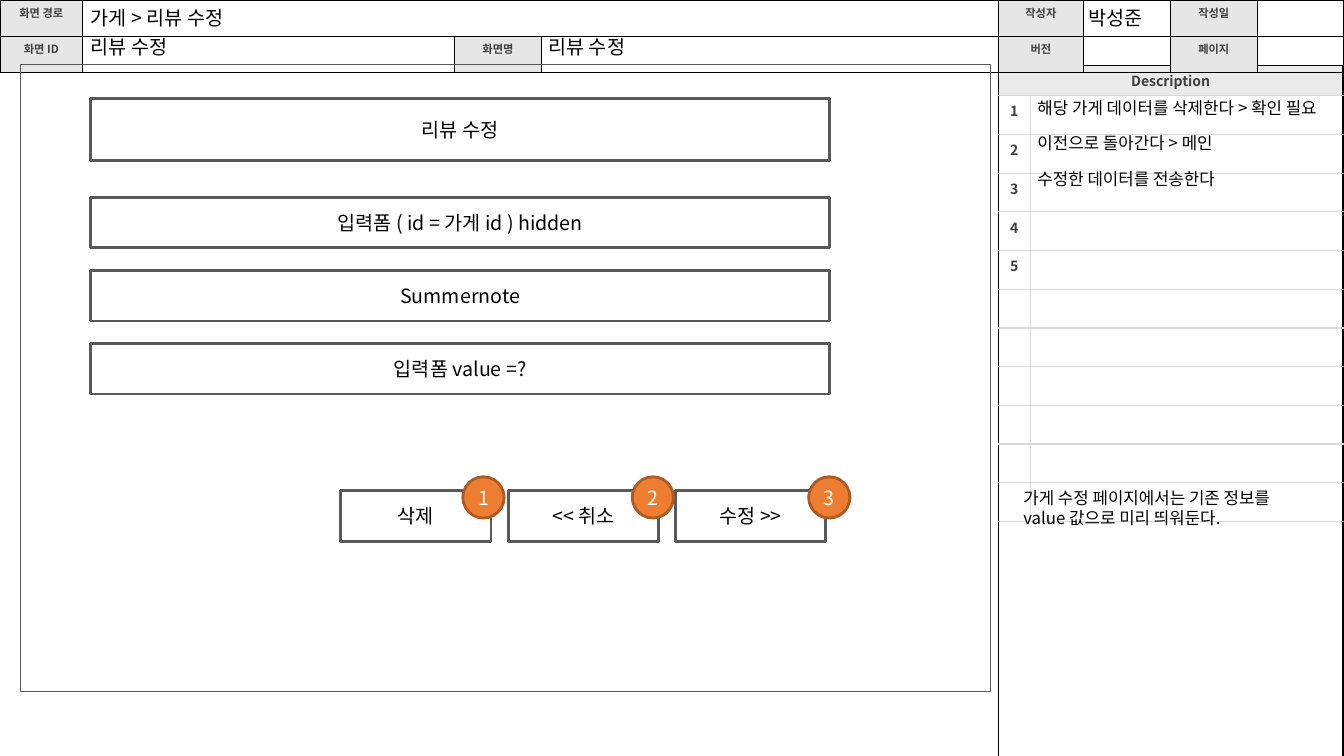
from dataclasses import dataclass

from lxml import etree
from pptx import Presentation
from pptx import util as u
from pptx.dml.color import RGBColor
from pptx.enum import shapes, text
from pptx.oxml.ns import qn


@dataclass(frozen=True)
class Theme:
    font: str = "Noto Sans CJK KR"
    black: str = "000000"
    white: str = "FFFFFF"
    label: str = "3F3F3F"
    outline: str = "595959"
    grid: str = "D8D8D8"
    header_fill: str = "EAEAEA"
    label_fill: str = "E7E6E6"
    badge: str = "ED7D31"
    badge_line: str = "AD5B24"
    label_size: int = 8
    table_size: int = 10
    note_size: int = 12
    body_size: int = 14


theme = Theme()


def write(frame, words, size, color, bold=False, align=text.PP_ALIGN.LEFT, inset=0):
    frame.text = words
    for side in ("left", "top", "right", "bottom"):
        setattr(frame, f"margin_{side}", u.Inches(inset))
    for para in frame.paragraphs:
        para.alignment = align
        para.font.size = u.Pt(size)
        para.font.bold = bold
        para.font.color.rgb = RGBColor.from_string(color)
        para.font.name = theme.font
        run_style = para._p.pPr.find(qn("a:defRPr"))
        etree.SubElement(run_style, qn("a:ea"), typeface=theme.font)


def style_cell(cell, words, size, fill, edges, inset):
    props = cell._tc.get_or_add_tcPr()
    for side, color in zip("LRTB", edges):
        line = etree.SubElement(props, qn(f"a:ln{side}"), w=str(u.Pt(1)))
        solid = etree.SubElement(line, qn("a:solidFill"))
        etree.SubElement(solid, qn("a:srgbClr"), val=color)
    if fill:
        cell.fill.solid()
        cell.fill.fore_color.rgb = RGBColor.from_string(fill)
    else:
        cell.fill.background()
    write(cell.text_frame, words, size, theme.label, True, text.PP_ALIGN.CENTER)
    for side in ("left", "top", "right", "bottom"):
        setattr(cell, f"margin_{side}", u.Inches(inset))


deck = Presentation()
deck.slide_width = u.Inches(13.33)
deck.slide_height = u.Inches(7.5)
page = deck.slides.add_slide(deck.slide_layouts[6])

description_columns = [0.32, 3.1]
description_rows = [0.3] + [0.384] * 11 + [2.33]
header_columns = [0.82, 3.69, 0.86, 4.53, 0.85, 0.86, 0.86, 0.86]
header_rows = [0.36] * 2
tables = []
for left, top, columns, rows in (
    (9.9, 0.65, description_columns, description_rows),
    (0, 0, header_columns, header_rows),
):
    table = page.shapes.add_table(
        len(rows), len(columns), u.Inches(left), u.Inches(top),
        u.Inches(sum(columns)), u.Inches(sum(rows)),
    ).table
    table.first_row = False
    table.horz_banding = False
    for column, width in zip(table.columns, columns):
        column.width = u.Inches(width)
    for row, height in zip(table.rows, rows):
        row.height = u.Inches(height)
    tables.append(table)
description, header = tables

last_row = len(description_rows) - 1
for row in (0, last_row):
    description.cell(row, 0).merge(description.cell(row, 1))
for row in range(len(description_rows)):
    for column in range(2):
        cell = description.cell(row, column)
        merged = row in (0, last_row)
        words = ""
        if column == 0:
            words = "Description" if row == 0 else str(row) if row <= 5 else ""
        edges = (
            theme.black if column == 0 else theme.grid,
            theme.black if column == 1 or merged else theme.grid,
            theme.black if row == 0 else theme.grid,
            theme.black if row == last_row else theme.grid,
        )
        fill = theme.header_fill if row == 0 else None
        style_cell(cell, words, theme.table_size, fill, edges, 0.05)
description.cell(0, 0).vertical_anchor = text.MSO_ANCHOR.MIDDLE

header_labels = [
    ["화면 경로", "", "", "", "작성자", "", "작성일", ""],
    ["화면 ID", "", "화면명", "", "버전", "", "페이지", ""],
]
header.cell(0, 1).merge(header.cell(0, 3))
for row, labels in enumerate(header_labels):
    for column, words in enumerate(labels):
        fill = theme.label_fill if words else None
        style_cell(header.cell(row, column), words, theme.label_size, fill,
                   [theme.black] * 4, 0.04)

rect = shapes.MSO_SHAPE.RECTANGLE
oval = shapes.MSO_SHAPE.OVAL
frame_style = (rect, None, theme.outline, 0.75, theme.black)
box_style = (rect, theme.white, theme.outline, 2, theme.black)
badge_style = (oval, theme.badge, theme.badge_line, 2, theme.white)

items = [(0.2, 0.64, 9.62, 6.22, "", frame_style),
         (0.9, 0.98, 7.33, 0.61, "리뷰 수정", box_style)]
fields = ["입력폼 ( id = 가게 id ) hidden", "Summernote", "입력폼 value =?"]
for index, words in enumerate(fields):
    items.append((0.9, 1.96 + 0.725 * index, 7.33, 0.5, words, box_style))
for index, words in enumerate(["삭제", "<< 취소", "수정 >>"]):
    items.append((3.38 + 1.66 * index, 4.87, 1.49, 0.5, words, box_style))
for number, left in enumerate([4.59, 6.27, 8.02], start=1):
    items.append((left, 4.73, 0.41, 0.41, str(number), badge_style))

for left, top, width, height, words, style in items:
    kind, fill, line, weight, color = style
    box = page.shapes.add_shape(
        kind, u.Inches(left), u.Inches(top), u.Inches(width), u.Inches(height))
    box.shadow.inherit = False
    if fill:
        box.fill.solid()
        box.fill.fore_color.rgb = RGBColor.from_string(fill)
    else:
        box.fill.background()
    box.line.color.rgb = RGBColor.from_string(line)
    box.line.width = u.Pt(weight)
    box.text_frame.vertical_anchor = text.MSO_ANCHOR.MIDDLE
    write(box.text_frame, words, theme.body_size, color, align=text.PP_ALIGN.CENTER)

notes = [
    (0.9, 0.06, 1.43, 0.22, "가게 > 리뷰 수정", theme.body_size, False),
    (0.9, 0.35, 0.8, 0.22, "리뷰 수정", theme.body_size, False),
    (5.44, 0.35, 0.8, 0.22, "리뷰 수정", theme.body_size, False),
    (10.8, 0.06, 0.56, 0.22, "박성준", theme.body_size, False),
    (10.15, 4.84, 2.93, 0.39,
     "가게 수정 페이지에서는 기존 정보를\vvalue 값으로 미리 띄워둔다.",
     theme.note_size, True),
]
actions = ["해당 가게 데이터를 삭제한다 > 확인 필요", "이전으로 돌아간다 > 메인", "수정한 데이터를 전송한다"]
for index, words in enumerate(actions):
    notes.append((10.29, 0.97 + 0.35 * index, 2.93, 0.19, words, theme.note_size, True))

for left, top, width, height, words, size, wrap in notes:
    box = page.shapes.add_textbox(
        u.Inches(left), u.Inches(top), u.Inches(width), u.Inches(height))
    box.text_frame.word_wrap = wrap
    box.text_frame.auto_size = text.MSO_AUTO_SIZE.SHAPE_TO_FIT_TEXT
    write(box.text_frame, words, size, theme.black)

deck.save("out.pptx")
